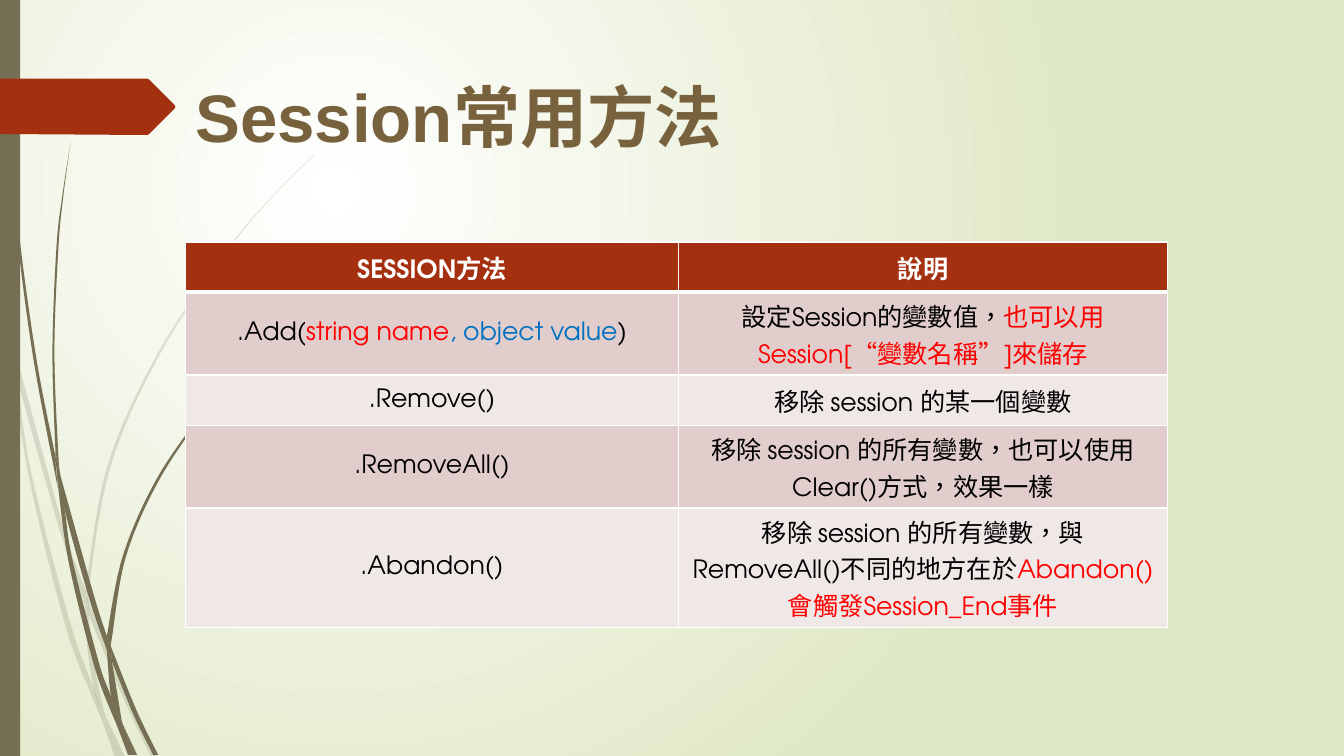
from dataclasses import dataclass

from lxml import etree
from pptx import Presentation
from pptx.dml.color import RGBColor
from pptx.enum.shapes import MSO_SHAPE
from pptx.enum.text import MSO_ANCHOR, PP_ALIGN
from pptx.oxml import parse_xml
from pptx.oxml.ns import nsdecls, qn
from pptx.util import Inches, Pt

RECTANGLE = MSO_SHAPE.RECTANGLE
MIDDLE, CENTER = MSO_ANCHOR.MIDDLE, PP_ALIGN.CENTER


@dataclass(frozen=True)
class Theme:
    stem: str = "766F54"
    accent: str = "A53010"
    title: str = "77623D"
    white: str = "FFFFFF"
    backdrop: str = "DFE8C4"
    black: str = "000000"
    red: str = "FF0000"
    blue: str = "0070C0"
    bands: tuple = ("E1CDCC", "F0E8E7")
    title_font: str = "Arial"
    table_font: str = "TeX Gyre Adventor"
    title_size: int = 48
    table_size: int = 18
    border: int = 1
    header_border: int = 3


THEME = Theme()
SLIDE_SIZE = (13.33, 7.5)
TITLE = "Session常用方法"
TITLE_BOX = (1.84, 0.7, 10.83, 0.9)
TABLE_ORIGIN = (1.84, 2.4)
COLUMN_WIDTHS = (4.89, 4.85)
ROW_HEIGHTS = (0.5, 0.82, 0.5, 0.82, 1.19)

# Every cell is a list of (text, colour) runs.
ROWS = [
    ([("SESSION方法", THEME.white)], [("說明", THEME.white)]),
    ([(".Add(", THEME.black), ("string name", THEME.red),
      (", object value", THEME.blue), (")", THEME.black)],
     [("設定Session的變數值，", THEME.black),
      ("也可以用Session[“變數名稱”]來儲存", THEME.red)]),
    ([(".Remove()", THEME.black)],
     [("移除 session 的某一個變數", THEME.black)]),
    ([(".RemoveAll()", THEME.black)],
     [("移除 session 的所有變數，也可以使用Clear()方式，效果一樣", THEME.black)]),
    ([(".Abandon()", THEME.black)],
     [("移除 session 的所有變數，與RemoveAll()不同的地方在於", THEME.black),
      ("Abandon()會觸發Session_End事件", THEME.red)]),
]

# Every blade of grass is a pair of edges: one running out, one running back.
PALE_BLADES = [
    ([(0, 2.82), (0.09, 3.22), (0.11, 3.5)], [(0.1, 3.44), (0, 2.99)]),
    ([(0.14, 3.45), (0.62, 5.2), (0.85, 5.86)],
     [(0.84, 5.99), (0.58, 5.22), (0.17, 3.76)]),
    ([(0.88, 5.96), (0.92, 6.07), (1.27, 6.92), (1.55, 7.51)],
     [(1.5, 7.51), (1.23, 6.94), (0.88, 6.1)]),
    ([(1.05, 7.11), (1.24, 7.51)], [(1.19, 7.51), (1.05, 7.11)]),
    ([(0.11, 3.5), (0.17, 3.76), (0.31, 4.69), (0.7, 6.19), (0.93, 6.83),
      (0.99, 7.07), (1.01, 7.14)],
     [(0.92, 6.93), (0.65, 6.21), (0.28, 4.7), (0.11, 3.5)]),
    ([(0.84, 5.99), (0.87, 6.46), (0.93, 6.83), (0.96, 6.92), (1.05, 7.11)],
     [(1.03, 7.06), (0.91, 6.46), (0.88, 6.1), (0.84, 5.99)]),
    ([(0.85, 5.86), (0.85, 5.84), (1.07, 4.61), (1.58, 3.48), (2.28, 2.44),
      (2.68, 1.97), (2.89, 1.75), (3.12, 1.53)],
     [(3.12, 1.54), (2.9, 1.75), (2.68, 1.98), (2.29, 2.45), (1.6, 3.49),
      (1.1, 4.62), (0.88, 5.84), (0.88, 5.96)]),
    ([(1.01, 7.14), (1.14, 7.51)], [(1.19, 7.51), (1.01, 7.14)]),
    ([(0.85, 5.86), (0.88, 5.96), (0.88, 6.1)], [(0.88, 6.08), (0.84, 5.99)]),
    ([(0.93, 6.83), (0.96, 6.92), (1.05, 7.11), (1.19, 7.51)],
     [(1.19, 7.51), (1.01, 7.14), (0.99, 7.07), (0.93, 6.83)]),
]
DARK_BLADES = [
    ([(0.03, 0), (0.04, 0.48), (0.07, 1.1), (0.17, 2.33), (0.33, 3.55),
      (0.56, 4.77), (0.57, 4.81)],
     [(0.55, 4.57), (0.55, 4.53), (0.36, 3.55), (0.19, 2.32), (0.08, 1.09),
      (0.05, 0.48), (0.04, 0)]),
    ([(0.6, 4.72), (0.93, 5.9), (1.06, 6.31)],
     [(1.06, 6.45), (0.88, 5.92), (0.64, 5.05), (0.6, 4.72)]),
    ([(1.1, 6.41), (1.13, 6.49), (1.36, 7.06), (1.57, 7.49)],
     [(1.52, 7.49), (1.32, 7.08), (1.11, 6.56)]),
    ([(0.57, 4.77), (0.64, 5.05), (0.72, 5.56), (0.98, 6.57), (1.1, 6.91),
      (1.16, 7.17), (1.17, 7.22)],
     [(1.11, 7.08), (0.93, 6.59), (0.68, 5.57), (0.57, 4.77)]),
    ([(0.7, 1.41), (0.63, 1.93), (0.58, 2.45), (0.54, 3.49), (0.58, 4.53),
      (0.6, 4.72)],
     [(0.55, 4.49), (0.52, 3.49), (0.56, 2.45), (0.62, 1.93), (0.7, 1.41)]),
    ([(1.22, 7.19), (1.36, 7.49)], [(1.33, 7.49), (1.22, 7.19)]),
    ([(0.55, 4.49), (0.6, 4.72), (0.64, 5.05)], [(0.57, 4.77), (0.55, 4.53)]),
    ([(1.06, 6.31), (1.22, 5.51), (1.56, 4.74), (2.04, 4.05), (2.31, 3.73),
      (2.45, 3.58), (2.6, 3.44)],
     [(2.61, 3.44), (2.45, 3.59), (2.31, 3.74), (2.05, 4.06), (1.58, 4.76),
      (1.25, 5.52), (1.11, 6.33), (1.1, 6.41)]),
    ([(1.17, 7.22), (1.31, 7.49)], [(1.27, 7.49), (1.17, 7.22)]),
    ([(1.06, 6.45), (1.09, 6.51), (1.11, 6.56), (1.21, 7.16), (1.22, 7.19)],
     [(1.16, 7.06), (1.1, 6.91), (1.06, 6.45)]),
    ([(1.06, 6.31), (1.1, 6.41), (1.11, 6.56)], [(1.09, 6.51), (1.06, 6.45)]),
    ([(1.1, 6.91), (1.16, 7.06), (1.22, 7.19), (1.33, 7.49)],
     [(1.3, 7.49), (1.17, 7.22), (1.1, 6.91)]),
]
ARROW = [(0, 0.78), (1.46, 0.78), (1.48, 0.79), (1.73, 1.04), (1.74, 1.06),
         (1.73, 1.08), (1.48, 1.33), (1.46, 1.34), (0, 1.33)]


def paint(shape, color, opacity=100):
    shape.shadow.inherit = False
    shape.line.fill.background()
    shape.fill.solid()
    shape.fill.fore_color.rgb = RGBColor.from_string(color)
    if opacity < 100:
        tint = shape._element.spPr.find(qn("a:solidFill"))[0]
        etree.SubElement(tint, qn("a:alpha"), val=str(opacity * 1000))


def add_outline(slide, points, color, opacity=100):
    first, *rest = [(Inches(x), Inches(y)) for x, y in points]
    builder = slide.shapes.build_freeform(*first)
    builder.add_line_segments(rest, close=True)
    shape = builder.convert_to_shape()
    paint(shape, color, opacity)
    return shape


def bend_edge(corners):
    """Turn the straight segments of one edge into Bézier curves through its corners."""
    spots = [(int(corner[0].get("x")), int(corner[0].get("y"))) for corner in corners]
    padded = [spots[0], *spots, spots[-1]]
    for corner, a, b, c, d in zip(corners[1:], padded, padded[1:], padded[2:], padded[3:]):
        corner.tag = qn("a:cubicBezTo")
        controls = ([q + (r - p) // 6 for p, q, r in zip(a, b, c)],
                    [r - (s - q) // 6 for q, r, s in zip(b, c, d)])
        for place, (x, y) in enumerate(controls):
            handle = etree.Element(qn("a:pt"), x=str(x), y=str(y))
            corner.insert(place, handle)


def add_blade(slide, out, back, opacity):
    shape = add_outline(slide, out + back, THEME.stem, opacity)
    corners = [pt.getparent() for pt in shape._element.spPr.iter(qn("a:pt"))]
    bend_edge(corners[:len(out)])
    bend_edge(corners[len(out):])


def add_run(paragraph, text, color, font, size, bold):
    run = paragraph.add_run()
    run.text = text
    run.font.name, run.font.size, run.font.bold = font, Pt(size), bold
    run.font.color.rgb = RGBColor.from_string(color)
    run._r.get_or_add_rPr().set("lang", "zh-TW")


def set_background(slide):
    """Fill the slide with a round gradient centred in its upper left quarter."""
    stops = "".join(f'<a:gs pos="{place}"><a:srgbClr val="{color}"/></a:gs>'
                    for place, color in ((0, THEME.white), (100000, THEME.backdrop)))
    slide._element.cSld.insert(0, parse_xml(
        f'<p:bg {nsdecls("p", "a")}><p:bgPr><a:gradFill><a:gsLst>{stops}</a:gsLst>'
        '<a:path path="circle"><a:fillToRect l="50000" t="50000" r="100000" b="100000"/>'
        '</a:path></a:gradFill><a:effectLst/></p:bgPr></p:bg>'))


def set_borders(cell, row):
    widths = {"L": THEME.border, "R": THEME.border,
              "T": THEME.header_border if row == 1 else THEME.border,
              "B": THEME.header_border if row == 0 else THEME.border}
    for side, width in widths.items():
        cell._tc.get_or_add_tcPr().append(parse_xml(
            f'<a:ln{side} {nsdecls("a")} w="{Pt(width)}"><a:solidFill>'
            f'<a:srgbClr val="{THEME.white}"/></a:solidFill></a:ln{side}>'))


def add_methods_table(slide):
    size = (sum(COLUMN_WIDTHS), sum(ROW_HEIGHTS))
    table = slide.shapes.add_table(len(ROWS), len(COLUMN_WIDTHS),
                                   *map(Inches, TABLE_ORIGIN + size)).table
    for column, width in zip(table.columns, COLUMN_WIDTHS):
        column.width = Inches(width)
    for r, (height, row) in enumerate(zip(ROW_HEIGHTS, ROWS)):
        table.rows[r].height = Inches(height)
        for c, runs in enumerate(row):
            cell = table.cell(r, c)
            set_borders(cell, r)
            cell.fill.solid()
            cell.fill.fore_color.rgb = RGBColor.from_string(
                THEME.bands[(r - 1) % 2] if r else THEME.accent)
            cell.vertical_anchor = MIDDLE
            paragraph = cell.text_frame.paragraphs[0]
            paragraph.alignment = CENTER
            for text, color in runs:
                add_run(paragraph, text, color, THEME.table_font, THEME.table_size, r == 0)


def main():
    presentation = Presentation()
    presentation.slide_width, presentation.slide_height = map(Inches, SLIDE_SIZE)
    slide = presentation.slides.add_slide(presentation.slide_layouts[6])
    set_background(slide)
    for blades, opacity in ((PALE_BLADES, 20), (DARK_BLADES, 100)):
        for out, back in blades:
            add_blade(slide, out, back, opacity)
    stripe = slide.shapes.add_shape(RECTANGLE, 0, 0, Inches(0.2), presentation.slide_height)
    paint(stripe, THEME.stem)
    add_outline(slide, ARROW, THEME.accent)
    frame = slide.shapes.add_textbox(*map(Inches, TITLE_BOX)).text_frame
    frame.word_wrap, frame.vertical_anchor = True, MIDDLE
    add_run(frame.paragraphs[0], TITLE, THEME.title, THEME.title_font, THEME.title_size, True)
    add_methods_table(slide)
    presentation.save("out.pptx")


if __name__ == "__main__":
    main()
